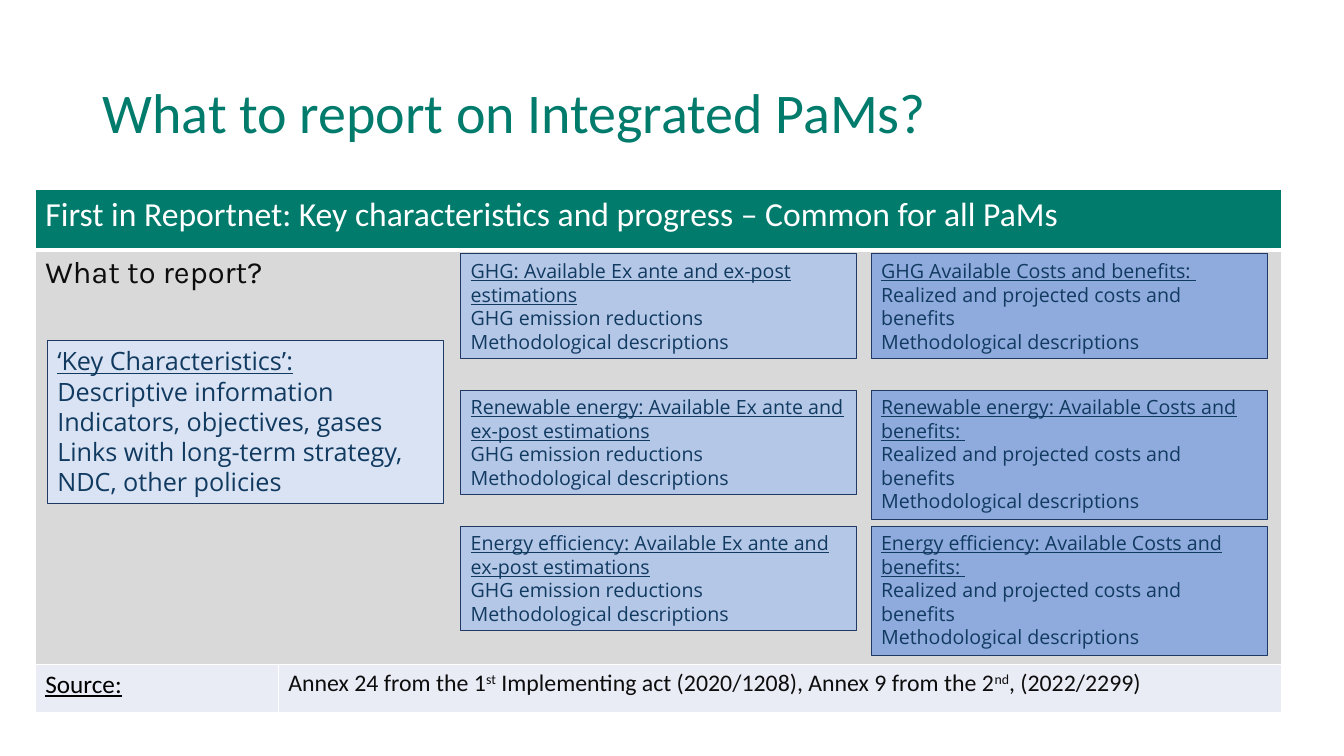
from dataclasses import dataclass

from lxml.etree import SubElement
from pptx import Presentation
from pptx.dml.color import RGBColor
from pptx.enum.shapes import MSO_SHAPE as Shape
from pptx.enum.text import MSO_ANCHOR as Anchor, MSO_AUTO_SIZE as AutoSize, PP_ALIGN as Align
from pptx.oxml.ns import qn
from pptx.util import Inches, Pt


@dataclass(frozen=True)
class Theme:
    heading_font: str = "Calibri"
    question_font: str = "Karla"
    box_font: str = "Open Sans"
    green: str = "007B6C"
    white: str = "FFFFFF"
    black: str = "000000"
    ink: str = "0D0D0D"
    navy: str = "113A60"
    outline: str = "203864"
    panel: str = "D9D9D9"
    source_fill: str = "E9EBF5"
    key_fill: str = "DAE3F3"
    estimate_fill: str = "B4C7E7"
    cost_fill: str = "8FAADC"
    title_size: float = 40
    header_size: float = 24
    question_size: float = 22
    key_size: float = 18
    source_size: float = 17
    box_size: float = 14


THEME = Theme()
BOX_WIDTH = 3.93
ROW_HEIGHTS = (0.6, 4.11, 0.48)
SECTORS = (
    # estimates heading, costs heading, height of the costs box
    ("GHG:", "GHG", 1.04),
    ("Renewable energy:", "Renewable energy:", 1.28),
    ("Energy efficiency:", "Energy efficiency:", 1.28),
)


def rgb(value):
    return RGBColor.from_string(value)


def add_run(paragraph, text, font, size, color, underline=False, superscript=False):
    run = paragraph.add_run()
    run.text = text
    run.font.name = font
    run.font.size = Pt(size)
    run.font.color.rgb = rgb(color)
    run.font.underline = underline
    if superscript:
        run.font._element.set("baseline", "30000")


def add_title(slide, left, top, width, height):
    title = slide.shapes.add_textbox(Inches(left), Inches(top), Inches(width), Inches(height))
    frame = title.text_frame
    frame.word_wrap = True
    frame.vertical_anchor = Anchor.MIDDLE
    paragraph = frame.paragraphs[0]
    paragraph.line_spacing = 0.9
    add_run(paragraph, "What to report on Integrated PaMs?",
            THEME.heading_font, THEME.title_size, THEME.green)


def style_cell(cell, fill, top=1, bottom=1):
    """Give a cell its fill and white borders, with widths in points."""
    properties = cell._tc.get_or_add_tcPr()
    for side, width in (("L", 1), ("R", 1), ("T", top), ("B", bottom)):
        border = SubElement(properties, qn(f"a:ln{side}"), w=str(Pt(width)))
        solid = SubElement(border, qn("a:solidFill"))
        SubElement(solid, qn("a:srgbClr"), val=THEME.white)
    cell.fill.solid()
    cell.fill.fore_color.rgb = rgb(fill)


def add_report_table(slide, left, top, width, label_width):
    table = slide.shapes.add_table(
        3, 2, Inches(left), Inches(top), Inches(width), Inches(sum(ROW_HEIGHTS))).table
    for column, column_width in zip(table.columns, (label_width, width - label_width)):
        column.width = Inches(column_width)
    row_styles = ((THEME.green, 1, 3), (THEME.panel, 3, 1), (THEME.source_fill, 1, 1))
    for row, height, style in zip(table.rows, ROW_HEIGHTS, row_styles):
        row.height = Inches(height)
        for cell in row.cells:
            style_cell(cell, *style)
    for row in (0, 1):
        table.cell(row, 0).merge(table.cell(row, 1))

    def first_line(row, column):
        return table.cell(row, column).text_frame.paragraphs[0]

    add_run(first_line(0, 0),
            "First in Reportnet: Key characteristics and progress – Common for all PaMs",
            THEME.heading_font, THEME.header_size, THEME.white)
    add_run(first_line(1, 0), "What to report?",
            THEME.question_font, THEME.question_size, THEME.ink)
    add_run(first_line(2, 0), "Source:",
            THEME.heading_font, THEME.key_size, THEME.black, underline=True)
    citation = (
        ("Annex 24 from the 1", False), ("st", True),
        (" Implementing act (2020/1208), Annex 9 from the 2", False), ("nd", True),
        (", (2022/2299)", False),
    )
    for text, superscript in citation:
        add_run(first_line(2, 1), text, THEME.heading_font, THEME.source_size, THEME.ink,
                superscript=superscript)


def add_box(slide, left, top, height, fill, size, heading, lines, break_after_heading=False):
    """Add an outlined box: underlined heading, then lines.

    With break_after_heading the first line shares the heading's paragraph.
    """
    box = slide.shapes.add_shape(
        Shape.RECTANGLE, Inches(left), Inches(top), Inches(BOX_WIDTH), Inches(height))
    box.shadow.inherit = False
    box.fill.solid()
    box.fill.fore_color.rgb = rgb(fill)
    box.line.color.rgb = rgb(THEME.outline)
    box.line.width = Pt(0.75)
    frame = box.text_frame
    frame.word_wrap = True
    frame.auto_size = AutoSize.SHAPE_TO_FIT_TEXT
    frame.vertical_anchor = Anchor.TOP
    paragraph = frame.paragraphs[0]
    paragraph.alignment = Align.LEFT
    add_run(paragraph, heading, THEME.box_font, size, THEME.navy, underline=True)
    for index, line in enumerate(lines):
        if break_after_heading and index == 0:
            paragraph.add_line_break()
        else:
            paragraph = frame.add_paragraph()
            paragraph.alignment = Align.LEFT
        add_run(paragraph, line, THEME.box_font, size, THEME.navy)


def add_sector_grid(slide, left, top, column_pitch, row_pitch):
    for index, (estimates, costs, costs_height) in enumerate(SECTORS):
        row_top = top + index * row_pitch
        add_box(slide, left, row_top, 1.04, THEME.estimate_fill, THEME.box_size,
                f"{estimates} Available Ex ante and ex-post estimations",
                ("GHG emission reductions", "Methodological descriptions"))
        add_box(slide, left + column_pitch, row_top, costs_height, THEME.cost_fill,
                THEME.box_size, f"{costs} Available Costs and benefits: ",
                ("Realized and projected costs and benefits", "Methodological descriptions"),
                break_after_heading=True)


def main():
    deck = Presentation()
    deck.slide_width, deck.slide_height = Inches(13.33), Inches(7.5)
    slide = deck.slides.add_slide(deck.slide_layouts[6])
    add_report_table(slide, 0.35, 1.88, 12.36, label_width=2.41)
    add_title(slide, 0.92, 0.4, 11.9, 1.48)
    add_box(slide, 0.47, 3.38, 1.62, THEME.key_fill, THEME.key_size, "‘Key Characteristics’:",
            ("Descriptive information", "Indicators, objectives, gases",
             "Links with long-term strategy, NDC, other policies"))
    add_sector_grid(slide, 4.57, 2.52, column_pitch=4.07, row_pitch=1.35)
    deck.save("out.pptx")


if __name__ == "__main__":
    main()
